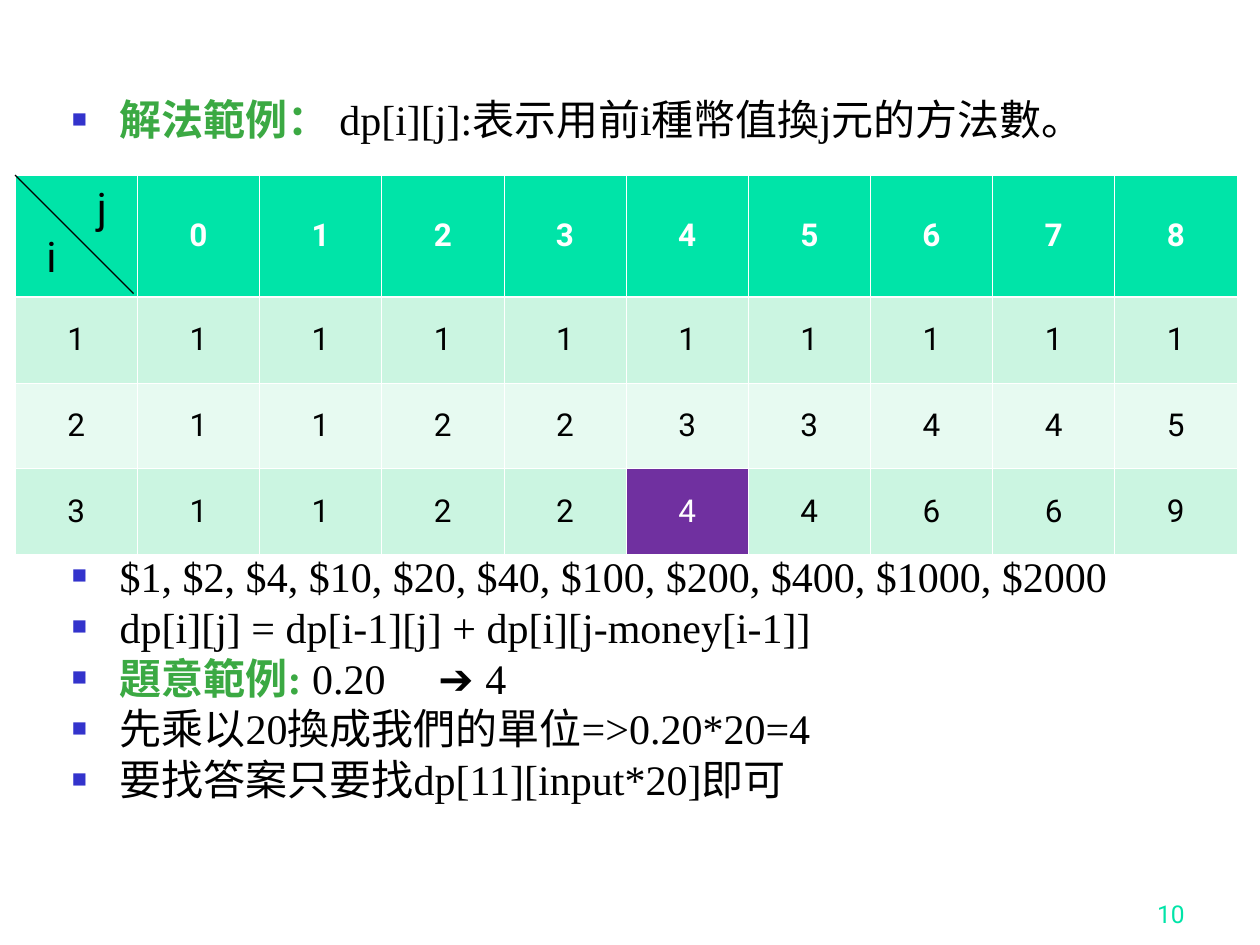
from lxml.etree import SubElement
from pptx import Presentation
from pptx.dml.color import RGBColor
from pptx.enum.shapes import MSO_CONNECTOR
from pptx.enum.text import MSO_ANCHOR, PP_ALIGN
from pptx.oxml.ns import qn
from pptx.util import Inches, Pt

BLACK, WHITE, GREEN, MINT = "000000", "FFFFFF", "3BA943", "00E4A8"
PURPLE, BULLET_BLUE = "7030A0", "3333CC"
SERIF, SANS = "Times New Roman", "Roboto"
ROW_FILLS = [MINT, "CBF5E1", "E7FAF1", "CBF5E1"]
ROW_HEIGHTS = [0.97, 0.68, 0.68, 0.68]
COLUMN_WIDTH = 0.97
TABLE_LEFT, TABLE_TOP = 0.12, 1.39
TABLE_GAP = 238
ANSWER_CELL = (3, 5)

METHOD_COUNTS = [
    ["", 0, 1, 2, 3, 4, 5, 6, 7, 8],
    [1, 1, 1, 1, 1, 1, 1, 1, 1, 1],
    [2, 1, 1, 2, 2, 3, 3, 4, 4, 5],
    [3, 1, 1, 2, 2, 4, 4, 6, 6, 9],
]
BULLETS = [
    [("解法範例： ", GREEN, SERIF), ("dp[i][j]:表示用前i種幣值換j元的方法數。", BLACK, SERIF)],
    [("$1, $2, $4, $10, $20, $40, $100, $200, $400, $1000, $2000", BLACK, SERIF)],
    [("dp[i][j] = dp[i-1][j] + dp[i][j-money[i-1]]", BLACK, SERIF)],
    [("題意範例: ", GREEN, SERIF), ("0.20\t", BLACK, SERIF), ("➔ ", BLACK, "Arial"), ("4", BLACK, SERIF)],
    [("先乘以20換成我們的單位=>0.20*20=4", BLACK, SERIF)],
    [("要找答案只要找dp[11][input*20]即可", BLACK, SERIF)],
]


def color(value):
    """Turn a hex string into a colour."""
    return RGBColor.from_string(value)


def format_font(font, name, size, value, bold=False):
    """Set the typeface, size, colour and weight of a font."""
    font.name, font.size, font.bold = name, Pt(size), bold
    font.color.rgb = color(value)


def add_bullet(paragraph):
    """Give a paragraph a square bullet, a hanging indent and a tab stop."""
    properties = paragraph._p.get_or_add_pPr()
    properties.set("marL", str(Inches(0.38)))
    properties.set("indent", str(-Inches(0.38)))
    bullet_color = SubElement(properties, qn("a:buClr"))
    SubElement(bullet_color, qn("a:srgbClr"), val=BULLET_BLUE)
    SubElement(properties, qn("a:buSzPct"), val="60000")
    SubElement(properties, qn("a:buFont"), typeface="Arial")
    SubElement(properties, qn("a:buChar"), char="■")
    tabs = SubElement(properties, qn("a:tabLst"))
    SubElement(tabs, qn("a:tab"), pos=str(Inches(2.91)), algn="l")


def add_body(slide):
    """Fill the body placeholder with the bullets above and below the table."""
    body = slide.placeholders[1]
    body.left, body.top = Inches(0.47), Inches(0.77)
    body.width, body.height = Inches(8.83), Inches(6.15)
    frame = body.text_frame
    for index, runs in enumerate(BULLETS):
        paragraph = frame.add_paragraph() if index else frame.paragraphs[0]
        add_bullet(paragraph)
        paragraph.line_spacing = 0.8
        paragraph.space_before = Pt({0: 0, 1: TABLE_GAP}.get(index, 6))
        for text, value, name in runs:
            run = paragraph.add_run()
            run.text = text
            format_font(run.font, name, 24, value, value == GREEN)


def add_border(cell, side, width):
    """Draw a white border on one side of a cell."""
    line = SubElement(cell._tc.get_or_add_tcPr(), qn(f"a:ln{side}"), w=str(Pt(width)))
    fill = SubElement(line, qn("a:solidFill"))
    SubElement(fill, qn("a:srgbClr"), val=WHITE)


def format_cell(cell, row, column):
    """Set the borders, fill and text of a table cell."""
    thick_side = {0: "B", 1: "T"}.get(row)
    for side in "LRTB":
        add_border(cell, side, 1.47 if side == thick_side else 0.45)
    is_answer = (row, column) == ANSWER_CELL
    cell.fill.solid()
    cell.fill.fore_color.rgb = color(PURPLE if is_answer else ROW_FILLS[row])
    cell.vertical_anchor = MSO_ANCHOR.MIDDLE
    cell.text_frame.text = str(METHOD_COUNTS[row][column])
    paragraph = cell.text_frame.paragraphs[0]
    paragraph.alignment = PP_ALIGN.CENTER
    text_color = WHITE if is_answer or row == 0 else BLACK
    format_font(paragraph.font, SANS, 18, text_color, row == 0)
    for run in paragraph.runs:
        format_font(run.font, SANS, 18, text_color, row == 0)


def add_count_table(slide):
    """Add the table of method counts."""
    rows, columns = len(METHOD_COUNTS), len(METHOD_COUNTS[0])
    table = slide.shapes.add_table(
        rows, columns, Inches(TABLE_LEFT), Inches(TABLE_TOP),
        Inches(columns * COLUMN_WIDTH), Inches(sum(ROW_HEIGHTS)),
    ).table
    for column in table.columns:
        column.width = Inches(COLUMN_WIDTH)
    for row_index, height in enumerate(ROW_HEIGHTS):
        table.rows[row_index].height = Inches(height)
        for column_index in range(columns):
            format_cell(table.cell(row_index, column_index), row_index, column_index)


def add_diagonal(slide):
    """Split the corner cell of the table with a line."""
    line = slide.shapes.add_connector(
        MSO_CONNECTOR.STRAIGHT, Inches(1.06), Inches(2.33),
        Inches(TABLE_LEFT), Inches(TABLE_TOP),
    )
    line.line.color.rgb = color(BLACK)
    line.line.width = Pt(0.75)
    SubElement(line._element.spPr, qn("a:effectLst"))


def add_label(slide, text, left, top, width, size, value,
              alignment=PP_ALIGN.LEFT, anchor=MSO_ANCHOR.TOP):
    """Add a one-line text box."""
    frame = slide.shapes.add_textbox(
        Inches(left), Inches(top), Inches(width), Inches(0.5)).text_frame
    frame.word_wrap = True
    frame.vertical_anchor = anchor
    frame.text = text
    paragraph = frame.paragraphs[0]
    paragraph.alignment = alignment
    format_font(paragraph.runs[0].font, SANS, size, value)


def main():
    """Build the slide and save it."""
    presentation = Presentation()
    presentation.slide_width, presentation.slide_height = Inches(10), Inches(7.5)
    slide = presentation.slides.add_slide(presentation.slide_layouts[1])
    title = slide.shapes.title._element
    title.getparent().remove(title)
    add_body(slide)
    add_count_table(slide)
    add_diagonal(slide)
    add_label(slide, "i", 0.27, 1.78, 0.39, 24, BLACK)
    add_label(slide, "j", 0.67, TABLE_TOP, 0.3, 24, BLACK)
    add_label(slide, "10", 7.42, 6.92, 2.08, 14, MINT, PP_ALIGN.RIGHT, MSO_ANCHOR.BOTTOM)
    presentation.save("out.pptx")


if __name__ == "__main__":
    main()
